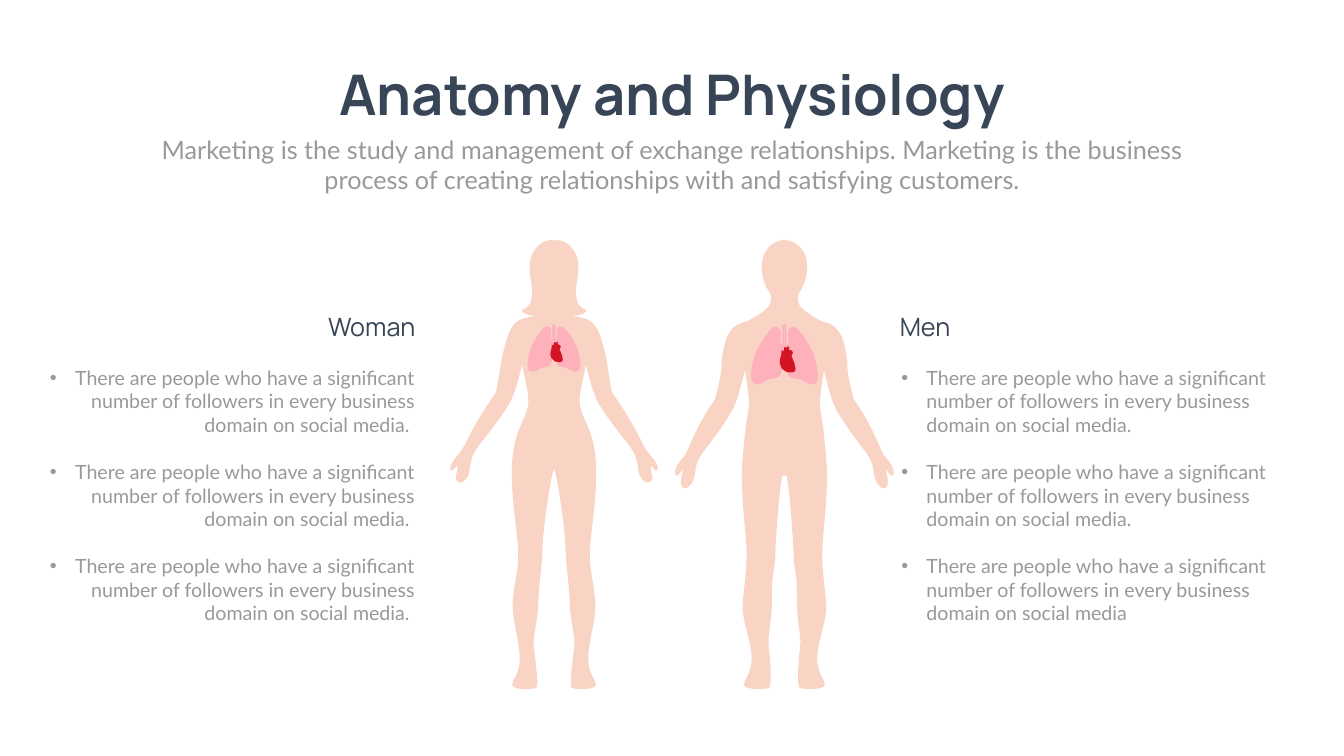
from dataclasses import dataclass
from lxml.etree import SubElement
from pptx import Presentation
from pptx.dml.color import RGBColor
from pptx.enum.text import MSO_ANCHOR, MSO_AUTO_SIZE, PP_ALIGN
from pptx.oxml.ns import qn
from pptx.util import Inches, Pt


@dataclass(frozen=True)
class Theme:
    background: str = "FEFFFE"
    dark: str = "374556"
    grey: str = "999999"
    skin: str = "F9D4C5"
    lung: str = "FEB0BB"
    heart: str = "D21424"
    heading_font: str = "Manrope"
    body_font: str = "Lato"
    title_size: float = 80
    heading_size: float = 36
    body_size: float = 28
    bullet_gap: float = 33.6


WOMAN = [
    (0, 4.77), (.06, 4.76, .12, 4.76, .18, 4.79), (.31, 4.84, .51, 5.03, .48, 5.34),
    (.48, 5.45, .47, 5.53, .45, 5.6), (.43, 5.77, .42, 5.92, .48, 6.03),
    (.52, 6.11, .62, 6.14, .64, 6.15), (.67, 6.15, .55, 6.29, .4, 6.25),
    (.33, 6.23), (.38, 6.26, .45, 6.28, .52, 6.3),
    (.83, 6.35, .9, 6.54, 1.03, 7.08), (1.06, 7.22, 1.1, 7.54, 1.14, 7.73),
    (1.16, 7.8), (1.43, 8.19, 1.56, 8.42, 1.65, 8.59),
    (1.7, 8.69, 1.8, 8.89, 1.84, 8.95), (1.99, 9.13),
    (2.06, 9.24, 2.07, 9.31, 2.05, 9.33), (2.01, 9.36, 1.96, 9.27, 1.92, 9.23),
    (1.92, 9.28, 1.91, 9.34, 1.94, 9.41), (1.98, 9.56, 1.88, 9.63, 1.77, 9.53),
    (1.6, 9.38, 1.75, 9.17, 1.49, 8.84), (1.35, 8.66, .96, 8.17, .84, 7.92),
    (.77, 7.73), (.7, 7.53, .66, 7.32, .63, 7.24), (.62, 7.34, .58, 7.46, .56, 7.6),
    (.53, 7.73), (.51, 7.85, .5, 7.97, .52, 8.08),
    (.56, 8.31, .76, 8.5, .82, 9.05), (.88, 9.66, .77, 10.22, .73, 10.71),
    (.71, 10.83, .71, 10.94, .71, 11.06), (.71, 11.31, .81, 11.67, .82, 11.99),
    (.83, 12.32, .67, 12.76, .68, 13.09), (.69, 13.42, .83, 13.45, .83, 13.59),
    (.83, 13.69, .37, 13.7, .34, 13.63), (.31, 13.52, .37, 13.1, .4, 12.85),
    (.43, 12.59, .32, 12.38, .31, 11.91), (.29, 11.47, .24, 11.29, .23, 10.89),
    (.22, 10.71), (.18, 10.23, .06, 9.42, 0, 9.31),
]
MAN = [
    (0, 4.76), (.27, 4.78, .44, 4.99, .45, 5.27), (.46, 5.44, .39, 5.68, .29, 5.81),
    (.29, 5.81, .2, 5.98, .35, 6.12), (.46, 6.22, .67, 6.36, .82, 6.4),
    (1.05, 6.45, 1.17, 6.67, 1.22, 6.99), (1.24, 7.1, 1.25, 7.2, 1.25, 7.31),
    (1.26, 7.47, 1.33, 7.75, 1.38, 7.93), (1.65, 8.31, 1.75, 8.57, 1.82, 8.7),
    (1.87, 8.8, 1.93, 8.98, 1.98, 9.04), (2.02, 9.09, 2.06, 9.13, 2.1, 9.2),
    (2.13, 9.24), (2.19, 9.35, 2.17, 9.43, 2.14, 9.44),
    (2.11, 9.46, 2.05, 9.35, 2.02, 9.31), (2.01, 9.36, 2.04, 9.44, 2.05, 9.51),
    (2.07, 9.66, 2, 9.75, 1.89, 9.65), (1.81, 9.58, 1.79, 9.48, 1.77, 9.37),
    (1.75, 9.24), (1.72, 9.13, 1.66, 9.03, 1.59, 8.94),
    (1.45, 8.76, 1.12, 8.32, 1, 8.07), (.89, 7.83, .82, 7.45, .78, 7.35),
    (.76, 7.56, .67, 7.9, .72, 8.19), (.76, 8.41, .77, 8.46, .82, 9), (.84, 9.24),
    (.87, 9.93, .74, 10.64, .75, 11.07), (.76, 11.27), (.78, 11.49), (.83, 12),
    (.84, 12.33, .64, 12.77, .65, 13.09), (.67, 13.42, .8, 13.45, .8, 13.59),
    (.8, 13.69, .32, 13.7, .29, 13.63), (.25, 13.52, .28, 13.11, .31, 12.85),
    (.34, 12.6, .25, 12.39, .25, 11.92), (.24, 11.49),
    (.21, 11.3, .18, 11.16, .18, 10.91), (.16, 10.54, .1, 9.68, .04, 9.43), (0, 9.44),
]
LUNG = [
    (.04, .02), (.04, .39), (.07, .38), (.1, .31, .06, .23, .07, .15),
    (.08, .11, .1, .08, .14, .06), (.21, .04, .26, .09, .31, .15),
    (.39, .25, .48, .38, .54, .51), (.61, .63, .63, .77, .65, .89),
    (.66, .95, .67, 1.01, .66, 1.06), (.66, 1.1, .65, 1.15, .61, 1.18),
    (.56, 1.21, .5, 1.2, .45, 1.17), (.41, 1.15, .37, 1.12, .33, 1.1),
    (.27, 1.08, .21, 1.09, .16, 1.07), (.11, 1.06, .08, 1.03, .07, .99),
    (.05, .95, .06, .9, .04, .86), (0, .79), (0, 0),
]
HEART = [
    (.08, .49), (.1, .51), (.15, .53), (.17, .57), (.14, .63), (.15, .66), (.2, .78),
    (.22, .88), (.22, .91, .22, .94, .19, .95), (.13, .96),
    (.05, .97, -.03, .92, -.07, .85), (-.1, .79, -.1, .72, -.08, .67), (-.06, .6),
    (-.06, .54), (-.04, .52), (-.02, .55), (0, .46), (.02, .45), (.03, .48),
    (.06, .45), (.09, .45), (.1, .47),
]


def points_of(outline):
    return [pt for part in outline for pt in zip(part[::2], part[1::2])]


def kinds_of(outline):
    return [len(part) // 2 for part in outline[1:]]


def mirror(points):
    return [(-x, y) for x, y in points]


def write(p, text, *, font, size, color, bold=False, align=PP_ALIGN.LEFT, before=0):
    p.alignment = align
    p.space_before = Pt(before)
    r = p.add_run()
    r.text = text
    r.font.name, r.font.size, r.font.bold = font, Pt(size), bold
    r.font.color.rgb = RGBColor.from_string(color)


class Deck:
    def __init__(self, theme):
        self.theme = theme
        self.prs = Presentation()
        self.prs.slide_width, self.prs.slide_height = Inches(26.66), Inches(15)
        self.s = self.prs.slides.add_slide(self.prs.slide_layouts[5])
        fill = self.s.background.fill
        fill.solid()
        fill.fore_color.rgb = RGBColor.from_string(theme.background)

    def title(self, text, box):
        sp, th = self.s.shapes.title, self.theme
        sp.left, sp.top, sp.width, sp.height = map(Inches, box)
        tf = sp.text_frame
        tf.word_wrap, tf.auto_size = False, MSO_AUTO_SIZE.NONE
        tf.vertical_anchor = MSO_ANCHOR.MIDDLE
        write(tf.paragraphs[0], text, font=th.heading_font, size=th.title_size,
              color=th.dark, bold=True, align=PP_ALIGN.CENTER)

    def text(self, lines, box, anchor=MSO_ANCHOR.TOP, bullets=False, gap=0, **fmt):
        tf = self.s.shapes.add_textbox(*map(Inches, box)).text_frame
        tf.word_wrap, tf.vertical_anchor = True, anchor
        for i, line in enumerate(lines):
            p = tf.add_paragraph() if i else tf.paragraphs[0]
            write(p, line, before=gap if i else 0, **fmt)
            if bullets:
                pPr = p._p.get_or_add_pPr()
                pPr.set("marL", str(Inches(.5)))
                pPr.set("indent", str(-Inches(.5)))
                SubElement(pPr, qn("a:buFont")).set("typeface", "Arial")
                SubElement(pPr, qn("a:buChar")).set("char", "•")

    def outline(self, points, kinds, color, x, y=0, scale=1):
        pts = [(Inches(x + px * scale), Inches(y + py * scale)) for px, py in points]
        fb = self.s.shapes.build_freeform(*pts[0])
        fb.add_line_segments(pts[1:], close=True)
        sp = fb.convert_to_shape()
        lines = iter(list(sp._element.iter(qn("a:lnTo"))))
        for kind in kinds:
            first = next(lines)
            if kind == 3:
                first.tag = qn("a:cubicBezTo")
                for line in (next(lines), next(lines)):
                    first.append(line[0])
                    line.getparent().remove(line)
        sp.shadow.inherit = False
        sp.fill.solid()
        sp.fill.fore_color.rgb = RGBColor.from_string(color)
        sp.line.fill.background()

    def figure(self, body, x, organ_scale):
        th, half, kinds = self.theme, points_of(body), kinds_of(body)
        self.outline(half + mirror(half)[-2::-1], kinds + kinds[::-1], th.skin, x)
        lung = points_of(LUNG)
        for points, organ, color in ((mirror(lung), LUNG, th.lung), (lung, LUNG, th.lung),
                                     (points_of(HEART), HEART, th.heart)):
            self.outline(points, kinds_of(organ), color, x, 6.43, organ_scale)

    def column(self, heading, items, heading_x, list_x, align):
        th = self.theme
        self.text([heading], (heading_x, 6.12, 5.35, .71), MSO_ANCHOR.MIDDLE, align=align,
                  font=th.heading_font, size=th.heading_size, color=th.dark)
        self.text(items, (list_x, 7.21, 7.57, 5.28), bullets=True, gap=th.bullet_gap,
                  align=align, font=th.body_font, size=th.body_size, color=th.grey)


def main():
    th = Theme()
    deck = Deck(th)
    deck.title("Anatomy and Physiology", (5.97, 1.12, 14.73, 1.45))
    deck.text(["Marketing is the study and management of exchange relationships. Marketing is "
               "the business process of creating relationships with and satisfying customers."],
              (2.92, 2.61, 20.82, 1.31), align=PP_ALIGN.CENTER,
              font=th.body_font, size=th.heading_size, color=th.grey)
    deck.figure(WOMAN, 10.99, .79)
    deck.figure(MAN, 15.56, 1)
    item = ("There are people who have a significant number of followers "
            "in every business domain on social media")
    deck.column("Men", [item + "."] * 2 + [item], 17.75, 17.78, PP_ALIGN.LEFT)
    deck.column("Woman", [item + ". "] * 3, 2.99, .75, PP_ALIGN.RIGHT)
    deck.prs.save("out.pptx")


if __name__ == "__main__":
    main()
